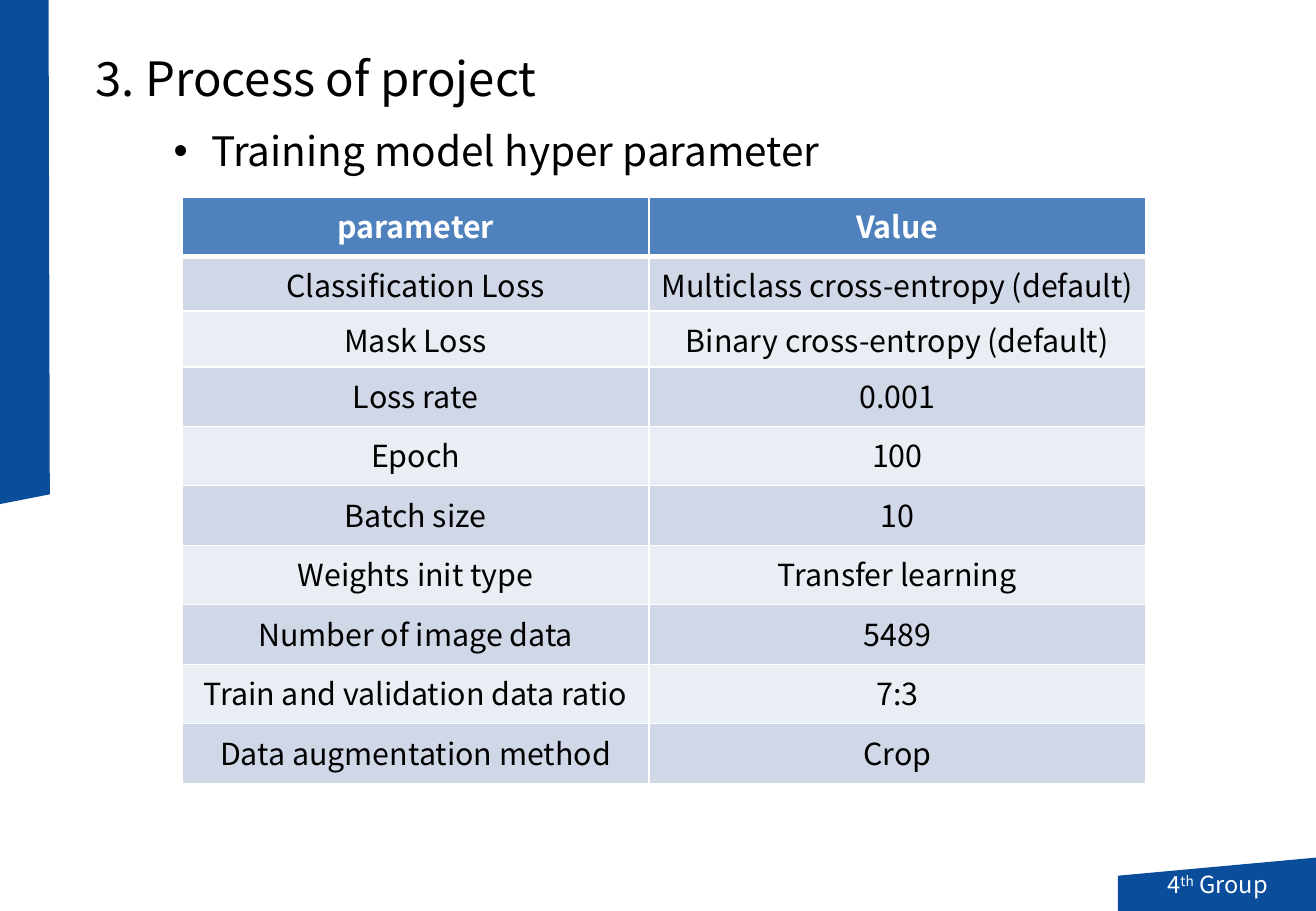
from lxml import etree
from pptx import Presentation
from pptx.dml.color import RGBColor
from pptx.enum.text import MSO_ANCHOR, PP_ALIGN
from pptx.oxml.ns import qn
from pptx.util import Inches, Pt

FONT = "Noto Sans CJK KR"
NAVY = RGBColor(0x0A, 0x4D, 0x9B)
HEAD = RGBColor(0x4F, 0x81, 0xBD)
BANDS = (RGBColor(0xE9, 0xED, 0xF4), RGBColor(0xD0, 0xD8, 0xE8))
WHITE = RGBColor(0xFF, 0xFF, 0xFF)
BLACK = RGBColor(0x00, 0x00, 0x00)
CENTER = PP_ALIGN.CENTER
MIDDLE = MSO_ANCHOR.MIDDLE

ROWS = [
    ("parameter", "Value"),
    ("Classification Loss", "Multiclass cross-entropy (default)"),
    ("Mask Loss", "Binary cross-entropy (default)"),
    ("Loss rate", "0.001"),
    ("Epoch", "100"),
    ("Batch size", "10"),
    ("Weights init type", "Transfer learning"),
    ("Number of image data", "5489"),
    ("Train and validation data ratio", "7:3"),
    ("Data augmentation method", "Crop"),
]
WIDTHS = (3.84, 4.09)
HEIGHTS = [0.49, 0.45, 0.46] + [0.49] * 7


def style(para, size, color, bold=False):
    font = para.font
    font.name, font.size, font.bold = FONT, Pt(size), bold
    font.color.rgb = color


def add_panel(slide, points):
    start, *rest = [(Inches(x), Inches(y)) for x, y in points]
    form = slide.shapes.build_freeform(*start)
    form.add_line_segments(rest, close=True)
    panel = form.convert_to_shape()
    panel.shadow.inherit = False
    panel.fill.solid()
    panel.fill.fore_color.rgb = NAVY
    panel.line.fill.background()
    return panel


def add_text(slide, text, box, size, wrap=True):
    frame = slide.shapes.add_textbox(*map(Inches, box)).text_frame
    frame.word_wrap = wrap
    para = frame.paragraphs[0]
    para.text = text
    style(para, size, BLACK)
    return para


def add_bullet(para, indent):
    props = para._p.get_or_add_pPr()
    props.set("marL", str(Inches(indent)))
    props.set("indent", str(-Inches(indent)))
    mark = etree.Element(qn("a:buChar"), char="•")
    props.insert(0, mark)
    face = etree.Element(qn("a:buFont"), typeface="Arial")
    props.insert(0, face)


def add_tag(slide):
    """Add the corner panel that carries the group name."""
    tag = add_panel(slide, [(10.84, 7.06), (10.84, 7.5), (9.2, 7.5), (9.2, 7.21)])
    frame = tag.text_frame
    frame.vertical_anchor = MIDDLE
    para = frame.paragraphs[0]
    para.alignment = CENTER
    style(para, 14, WHITE)
    for text in ("4", "th", " Group"):
        run = para.add_run()
        run.text = text
        if text == "th":
            run.font._element.set("baseline", "30000")


def set_border(cell, top, bottom):
    """Draw white cell edges; widths are in points."""
    props = cell._tc.get_or_add_tcPr()
    for side, width in (("L", 1), ("R", 1), ("T", top), ("B", bottom)):
        line = etree.SubElement(props, qn(f"a:ln{side}"), w=str(Pt(width)))
        fill = etree.SubElement(line, qn("a:solidFill"))
        etree.SubElement(fill, qn("a:srgbClr"), val=str(WHITE))


def fill_cell(cell, text, row):
    head = row == 0
    set_border(cell, 3 if row == 1 else 1, 3 if head else 1)
    cell.fill.solid()
    cell.fill.fore_color.rgb = HEAD if head else BANDS[row % 2]
    para = cell.text_frame.paragraphs[0]
    para.text = text
    para.alignment = CENTER
    style(para, 18, WHITE if head else BLACK, head)


def add_grid(slide):
    frame = slide.shapes.add_table(
        len(ROWS), len(WIDTHS), Inches(1.5), Inches(1.62),
        Inches(sum(WIDTHS)), Inches(sum(HEIGHTS)))
    table = frame.table
    for col, width in zip(table.columns, WIDTHS):
        col.width = Inches(width)
    for i, (height, texts) in enumerate(zip(HEIGHTS, ROWS)):
        table.rows[i].height = Inches(height)
        for j, text in enumerate(texts):
            fill_cell(table.cell(i, j), text, i)


def main():
    deck = Presentation()
    deck.slide_width, deck.slide_height = Inches(10.83), Inches(7.5)
    slide = deck.slides.add_slide(deck.slide_layouts[6])
    add_panel(slide, [(0.4, 0), (0, 0), (0, 4.15), (0.41, 4.07)])
    add_text(slide, "3. Process of project", (0.69, 0.36, 3.83, 1.04), 28, False)
    add_tag(slide)
    topic = add_text(slide, "Training model hyper parameter",
                     (1.33, 0.99, 9.28, 0.5), 24)
    add_bullet(topic, 0.31)
    add_grid(slide)
    deck.save("out.pptx")


if __name__ == "__main__":
    main()
